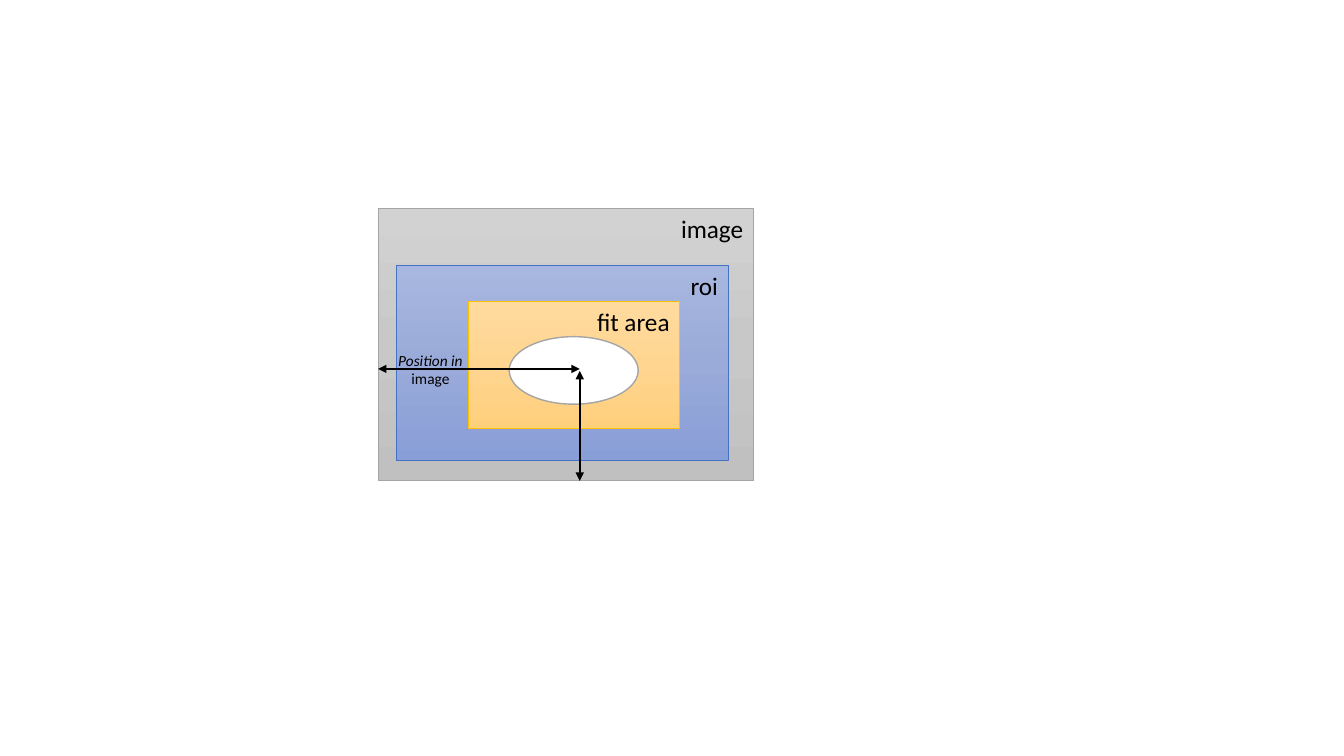
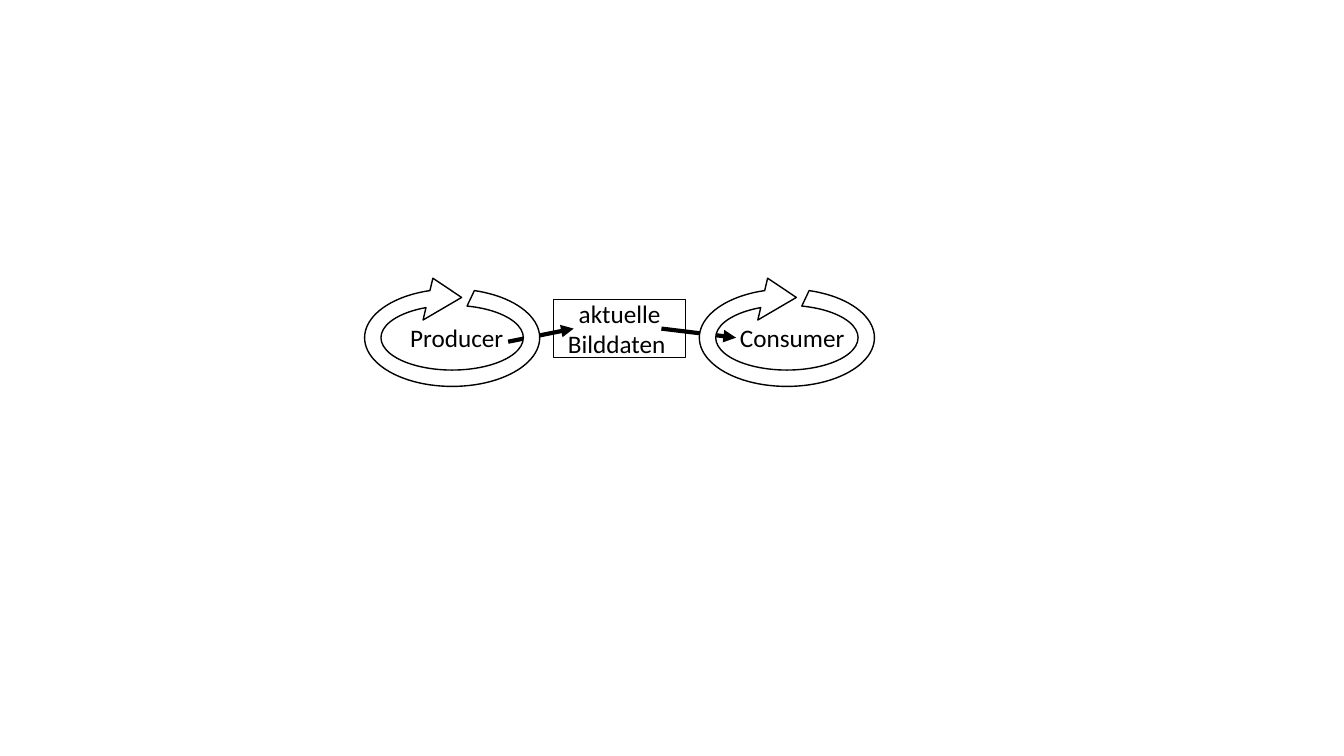
from collections.abc import Iterable
from copy import deepcopy
from dataclasses import dataclass
from typing import Any

import lxml.etree
import pptx
import pptx.dml.color
import pptx.enum.shapes
import pptx.enum.text
import pptx.oxml.ns
import pptx.util

EMU_PER_PX = 9144  # 100 px to the inch
SHAPES = pptx.enum.shapes.MSO_SHAPE
ALIGN = pptx.enum.text.PP_ALIGN
ANCHOR = pptx.enum.text.MSO_ANCHOR
qn = pptx.oxml.ns.qn


@dataclass(frozen=True)
class Theme:
    font: str = "Calibri"
    label_size: int = 18
    note_size: int = 11
    ink: str = "000000"
    paper: str = "FFFFFF"
    grey_line: str = "A5A5A5"
    blue_line: str = "4472C4"
    gold_line: str = "FFC000"
    grey_fill: tuple[str, ...] = ("D2D2D2", "C8C8C8", "C0C0C0")
    blue_fill: tuple[str, ...] = ("A8B7DF", "9AABD9", "889ED7")
    gold_fill: tuple[str, ...] = ("FFDB9E", "FFD590", "FFD07C")
    hairline: float = 0.5
    outline: float = 1
    dimension: float = 1.5
    flow: float = 3


THEME = Theme()


@dataclass(frozen=True)
class Box:
    left: int
    top: int
    width: int
    height: int

    def emu(self) -> tuple[int, ...]:
        return tuple(px(v) for v in (self.left, self.top, self.width, self.height))


@dataclass(frozen=True)
class Area:
    label: str
    box: Box
    colours: tuple[str, ...]
    line: str
    level: int = 0


@dataclass(frozen=True)
class Arrow:
    start: tuple[int, int]
    end: tuple[int, int]
    weight: float
    both_ends: bool = False


@dataclass(frozen=True)
class Worker:
    """A looping thread: its label, its ring and the arrow that meets it."""
    label: str
    label_left: int
    ring_left: int
    arrow: Arrow


IMAGE_BOX = Box(375, 207, 372, 270)
AREAS = (
    Area("image", IMAGE_BOX, THEME.grey_fill, THEME.grey_line),
    Area("roi", Box(393, 263, 329, 194), THEME.blue_fill, THEME.blue_line),
    Area("fit area", Box(465, 299, 209, 126), THEME.gold_fill, THEME.gold_line, level=1),
)
SPOT_BOX = Box(505, 334, 128, 67)
SPOT_X = 575
DIMENSIONS = (
    Arrow((IMAGE_BOX.left, 366), (SPOT_X, 366), THEME.dimension, both_ends=True),
    Arrow((SPOT_X, IMAGE_BOX.top + IMAGE_BOX.height), (SPOT_X, 368),
          THEME.dimension, both_ends=True),
)
POSITION_BOX = Box(384, 343, 86, 48)

BUFFER_BOX = Box(549, 297, 131, 58)
RING_ADJUSTMENTS = (0.132, 31.442, 196.77, 15.142, 0.173)
WORKERS = (
    Worker("Producer", 397, 387, Arrow((504, 339), (569, 326), THEME.flow)),
    Worker("Consumer", 724, 719, Arrow((656, 326), (730, 335), THEME.flow)),
)


def px(value: int) -> int:
    return value * EMU_PER_PX


def rgb(colour: str) -> Any:
    return pptx.dml.color.RGBColor.from_string(colour)


def set_formats(target: Any, formats: dict[str, Any]) -> None:
    for name, value in formats.items():
        setattr(target, name, value)


def write(shape: Any, paragraphs: Iterable[tuple[str, ...]], align: Any,
          anchor: Any = ANCHOR.TOP, size: int = THEME.label_size, level: int = 0) -> None:
    """Fill a shape with paragraphs, each given as a tuple of run texts."""
    frame = shape.text_frame
    set_formats(frame, {"word_wrap": True, "vertical_anchor": anchor})
    for index, runs in enumerate(paragraphs):
        paragraph = frame.add_paragraph() if index else frame.paragraphs[0]
        set_formats(paragraph, {"alignment": align, "level": level})
        for text in runs:
            run = paragraph.add_run()
            run.text = text
            set_formats(run.font, {"name": THEME.font, "size": pptx.util.Pt(size)})
            run.font.color.rgb = rgb(THEME.ink)


def add_outlined(shapes: Any, kind: Any, box: Box, line: str = THEME.ink,
                 weight: float = THEME.outline) -> Any:
    shape = shapes.add_shape(kind, *box.emu())
    shape.shadow.inherit = False
    shape.fill.solid()
    shape.fill.fore_color.rgb = rgb(THEME.paper)
    shape.line.color.rgb = rgb(line)
    shape.line.width = pptx.util.Pt(weight)
    return shape


def fill_gradient(shape: Any, colours: tuple[str, ...]) -> None:
    """Fill from top to bottom with evenly spaced colours."""
    shape.fill.gradient()
    shape.fill.gradient_angle = 270
    stop_list = next(shape._element.spPr.iter(qn("a:gsLst")))
    while len(stop_list) < len(colours):
        stop_list.append(deepcopy(stop_list[0]))
    for index, (stop, colour) in enumerate(zip(shape.fill.gradient_stops, colours)):
        stop.color.rgb = rgb(colour)
        stop.position = index / (len(colours) - 1)


def add_area(shapes: Any, area: Area) -> None:
    shape = add_outlined(shapes, SHAPES.RECTANGLE, area.box, area.line, THEME.hairline)
    fill_gradient(shape, area.colours)
    write(shape, [(area.label,)], ALIGN.RIGHT, level=area.level)


def add_arrow(shapes: Any, arrow: Arrow) -> None:
    connector = shapes.add_connector(
        pptx.enum.shapes.MSO_CONNECTOR.STRAIGHT,
        *(px(v) for v in (*arrow.start, *arrow.end)))
    connector.line.color.rgb = rgb(THEME.ink)
    connector.line.width = pptx.util.Pt(arrow.weight)
    properties = connector._element.spPr
    outline = properties.find(qn("a:ln"))
    for tag in ("a:headEnd", "a:tailEnd") if arrow.both_ends else ("a:tailEnd",):
        lxml.etree.SubElement(outline, qn(tag), type="triangle")
    lxml.etree.SubElement(properties, qn("a:effectLst"))


def add_note(shapes: Any, box: Box, runs: tuple[str, ...], align: Any, size: int) -> Any:
    note = shapes.add_textbox(*box.emu())
    write(note, [runs], align, size=size)
    note.text_frame.auto_size = pptx.enum.text.MSO_AUTO_SIZE.SHAPE_TO_FIT_TEXT
    return note


def add_ring(shapes: Any, left: int) -> None:
    ring = add_outlined(shapes, SHAPES.CIRCULAR_ARROW, Box(left, 235, 123, 200))
    ring.rotation = 270
    for index, value in enumerate(RING_ADJUSTMENTS):
        ring.adjustments[index] = value


def build_fit_slide(shapes: Any) -> None:
    image, roi, fit = AREAS
    add_area(shapes, image)
    add_area(shapes, roi)
    fit_group = shapes.add_group_shape().shapes
    add_area(fit_group, fit)
    add_outlined(fit_group, SHAPES.OVAL, SPOT_BOX, THEME.grey_line)
    for dimension in DIMENSIONS:
        add_arrow(shapes, dimension)
    position = add_note(shapes, POSITION_BOX, ("Position in", " image"),
                        ALIGN.CENTER, THEME.note_size)
    position.text_frame.paragraphs[0].runs[0].font.italic = True


def build_thread_slide(shapes: Any) -> None:
    buffer = add_outlined(shapes, SHAPES.RECTANGLE, BUFFER_BOX)
    write(buffer, [("aktuelle",), ("Bilddaten ",)], ALIGN.CENTER, ANCHOR.MIDDLE)
    for worker in WORKERS:
        add_arrow(shapes, worker.arrow)
        add_ring(shapes, worker.ring_left)
        add_note(shapes, Box(worker.label_left, 315, 128, 40), (worker.label,),
                 ALIGN.LEFT, THEME.label_size)


def main() -> None:
    deck = pptx.Presentation()
    set_formats(deck, {"slide_width": px(1333), "slide_height": px(750)})
    blank = deck.slide_layouts[6]
    for build in (build_fit_slide, build_thread_slide):
        build(deck.slides.add_slide(blank).shapes)
    deck.save("out.pptx")


if __name__ == "__main__":
    main()
